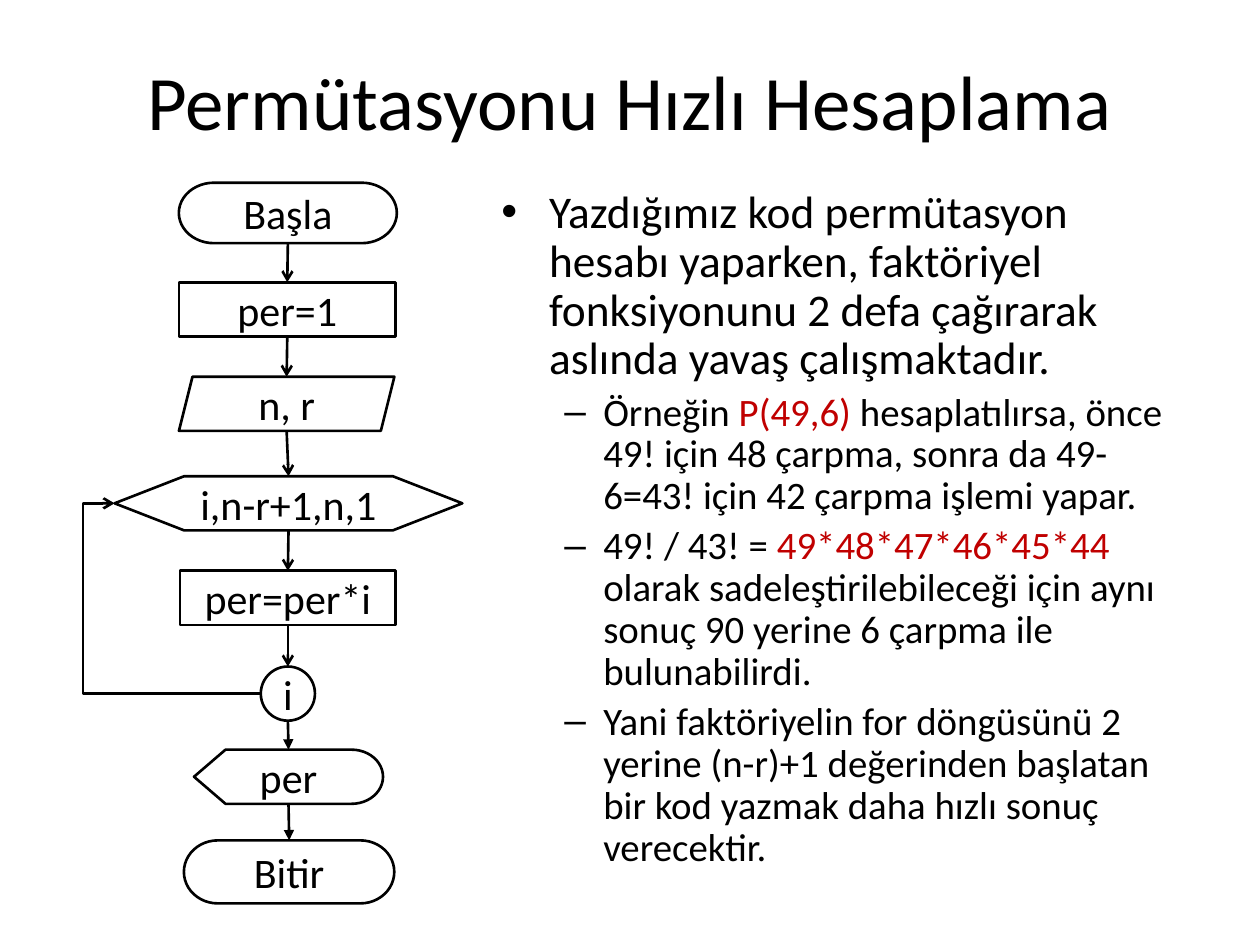
import lxml.etree
import pptx
import pptx.dml.color
import pptx.enum.shapes
import pptx.enum.text
import pptx.oxml.ns
import pptx.util

PX = 9144  # 100 px to the inch
FONT, BLACK, WHITE, RED = "Calibri", "000000", "FFFFFF", "C00000"
SHAPES = pptx.enum.shapes.MSO_SHAPE
CONNECTORS = pptx.enum.shapes.MSO_CONNECTOR
CENTER = pptx.enum.text.PP_ALIGN.CENTER
MIDDLE = pptx.enum.text.MSO_ANCHOR.MIDDLE

# Flowchart steps: preset, label, box relative to the chart, fill, arrow to the next step
STEPS = [
    (SHAPES.FLOWCHART_TERMINATOR, "Başla", (76, 0, 173, 48), None, "arrow"),
    (SHAPES.FLOWCHART_PROCESS, "per=1", (76, 79, 172, 43), WHITE, "arrow"),
    (SHAPES.PARALLELOGRAM, "n, r", (76, 154, 171, 43), WHITE, "arrow"),
    (SHAPES.FLOWCHART_PREPARATION, "i,n-r+1,n,1", (25, 233, 276, 43), WHITE, "arrow"),
    (SHAPES.FLOWCHART_PROCESS, "per=per*i", (77, 308, 171, 43), WHITE, "arrow"),
    (SHAPES.FLOWCHART_CONNECTOR, "i", (141, 384, 43, 43), WHITE, "triangle"),
    (SHAPES.FLOWCHART_DISPLAY, "per", (88, 450, 150, 43), None, "triangle"),
    (SHAPES.FLOWCHART_TERMINATOR, "Bitir", (80, 522, 167, 50), None, None),
]
LOOP_START, LOOP_END = 3, 5

# Body paragraphs: level, then runs of text and colour
BODY = [
    (0, [("Yazdığımız kod permütasyon hesabı yaparken, faktöriyel fonksiyonunu 2 defa "
          "çağırarak aslında yavaş çalışmaktadır.", BLACK)]),
    (1, [("Örneğin ", BLACK), ("P(49,6) ", RED),
         ("hesaplatılırsa, önce 49! için 48 çarpma, sonra da 49-6=43! için 42 çarpma "
          "işlemi yapar.", BLACK)]),
    (1, [("49! / 43! = ", BLACK), ("49*48*47*46*45*44 ", RED),
         ("olarak sadeleştirilebileceği için aynı sonuç 90 yerine 6 çarpma ile "
          "bulunabilirdi.", BLACK)]),
    (1, [("Yani faktöriyelin for döngüsünü 2 yerine (n-r)+1 değerinden başlatan bir kod "
          "yazmak daha hızlı sonuç verecektir.", BLACK)]),
]
# Level styles: bullet, font size, left margin px, hanging indent px
LEVELS = [("•", 25.9, 38, 38), ("–", 22.2, 81, 31)]


def px(*lengths):
    return [round(length * PX) for length in lengths]


def color(hex_string):
    return pptx.dml.color.RGBColor.from_string(hex_string)


def add_xml(parent, tag, **attributes):
    return lxml.etree.SubElement(parent, pptx.oxml.ns.qn(tag), attributes)


def set_font(font, size):
    font.name, font.size = FONT, pptx.util.Pt(size)
    font.color.rgb = color(BLACK)


def set_label(shape, text, size, wrap):
    frame = shape.text_frame
    frame.word_wrap = wrap
    frame.vertical_anchor = MIDDLE
    paragraph = frame.paragraphs[0]
    paragraph.text, paragraph.alignment = text, CENTER
    set_font(paragraph.font, size)


def add_title(slide, box):
    title = slide.shapes.add_textbox(*px(*box))
    set_label(title, "Permütasyonu Hızlı Hesaplama", 44, True)


def add_body(slide, box):
    frame = slide.shapes.add_textbox(*px(*box)).text_frame
    frame.word_wrap = True
    for index, (level, runs) in enumerate(BODY):
        paragraph = frame.paragraphs[0] if index == 0 else frame.add_paragraph()
        bullet, size, margin, hanging = LEVELS[level]
        paragraph.level = level
        paragraph.line_spacing = 0.9
        paragraph.space_before = pptx.util.Pt(round(size * 0.2, 1))
        # Hanging bullet
        properties = paragraph._p.get_or_add_pPr()
        properties.set("marL", str(margin * PX))
        properties.set("indent", str(-hanging * PX))
        add_xml(properties, "a:buFont", typeface="Arial")
        add_xml(properties, "a:buChar", char=bullet)
        set_font(paragraph.font, size)
        for text, run_color in runs:
            run = paragraph.add_run()
            run.text = text
            if run_color != BLACK:
                run.font.color.rgb = color(run_color)


def add_step(slide, preset, label, box, fill):
    shape = slide.shapes.add_shape(preset, *px(*box))
    shape.shadow.inherit = False
    if fill:
        shape.fill.solid()
        shape.fill.fore_color.rgb = color(fill)
    else:
        shape.fill.background()
    shape.line.color.rgb = color(BLACK)
    shape.line.width = pptx.util.Pt(1.5)
    set_label(shape, label, 24, False)
    return shape


def add_arrow(slide, kind, start, end, head):
    connector = slide.shapes.add_connector(kind, *start, *end)
    connector.line.color.rgb = color(BLACK)
    connector.line.width = pptx.util.Pt(1.5)
    add_xml(connector.line._get_or_add_ln(), "a:tailEnd", type=head)
    add_xml(connector._element.spPr, "a:effectLst")
    return connector


def add_flowchart(slide, box):
    left, top = box[:2]
    shapes = [add_step(slide, preset, label, (left + x, top + y, width, height), fill)
              for preset, label, (x, y, width, height), fill, _ in STEPS]

    # Arrows from each step down to the next
    for step, shape, following in zip(STEPS, shapes, shapes[1:]):
        start = shape.left + shape.width // 2, shape.top + shape.height
        end = following.left + following.width // 2, following.top
        add_arrow(slide, CONNECTORS.STRAIGHT, start, end, step[-1])

    # Loop back along the left edge of the chart
    start, end = [(shape.left, shape.top + shape.height // 2)
                  for shape in (shapes[LOOP_END], shapes[LOOP_START])]
    loop = add_arrow(slide, CONNECTORS.ELBOW, start, end, "arrow")
    bend = round(100000 * (start[0] - left * PX) / (start[0] - end[0]))
    guides = loop._element.spPr.find(pptx.oxml.ns.qn("a:prstGeom")).get_or_add_avLst()
    add_xml(guides, "a:gd", name="adj1", fmla=f"val {bend}")


def main():
    presentation = pptx.Presentation()
    presentation.slide_width, presentation.slide_height = px(1000, 750)
    slide = presentation.slides.add_slide(presentation.slide_layouts[6])
    add_title(slide, (50, 30, 900, 98))
    add_body(slide, (388, 145, 562, 555))
    add_flowchart(slide, (66, 145, 301, 572))
    presentation.save("out.pptx")


if __name__ == "__main__":
    main()
